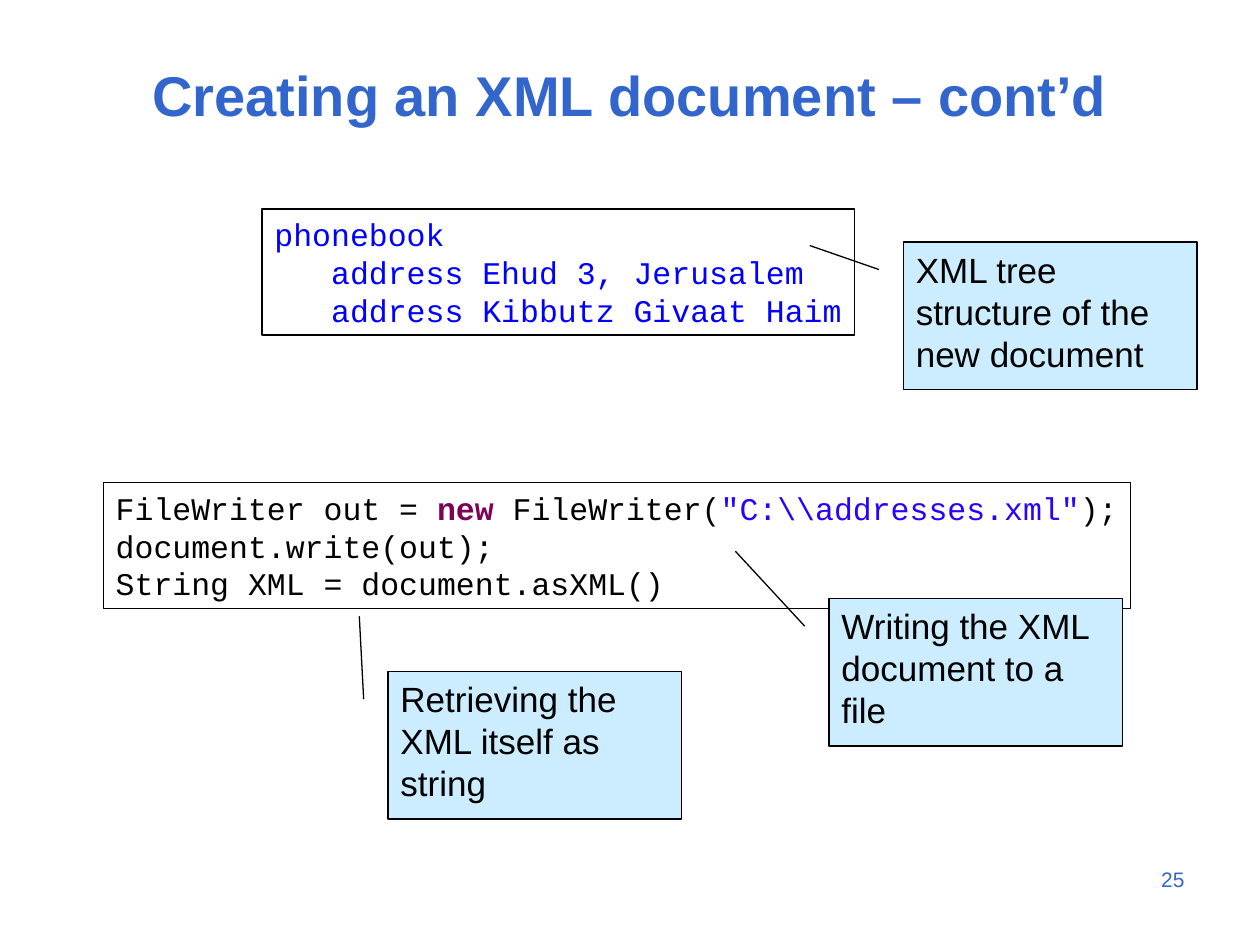
import pptx
import pptx.util
import pptx.dml.color
import pptx.enum.shapes
import pptx.enum.text

Inches = pptx.util.Inches
MSO_SHAPE = pptx.enum.shapes.MSO_SHAPE
PP_ALIGN = pptx.enum.text.PP_ALIGN
MSO_ANCHOR = pptx.enum.text.MSO_ANCHOR

COLORS = {
    "heading": "3366CC",
    "tree": "0000FF",
    "text": "000000",
    "keyword": "7F0055",
    "string": "2A00FF",
    "callout": "CCECFF",
}


def format_run(run, font_name, size, color, bold=False):
    run.font.name = font_name
    run.font.size = pptx.util.Pt(size)
    run.font.bold = bold
    run.font.color.rgb = pptx.dml.color.RGBColor.from_string(COLORS[color])


def add_outlined_shape(kind, left, top, width, height, fill=None):
    shape = slide.shapes.add_shape(kind, Inches(left), Inches(top), Inches(width), Inches(height))
    shape.shadow.inherit = False
    if fill:
        shape.fill.solid()
        shape.fill.fore_color.rgb = pptx.dml.color.RGBColor.from_string(COLORS[fill])
    else:
        shape.fill.background()
    shape.line.color.rgb = pptx.dml.color.RGBColor.from_string(COLORS["text"])
    shape.line.width = pptx.util.Pt(0.75)
    shape.text_frame.vertical_anchor = MSO_ANCHOR.TOP
    return shape


presentation = pptx.Presentation()
presentation.slide_width = Inches(10)
presentation.slide_height = Inches(7.5)
slide = presentation.slides.add_slide(presentation.slide_layouts[6])

headings = [
    ("25", 7.5, 6.83, 2, 0.5, 12, False, PP_ALIGN.RIGHT, MSO_ANCHOR.TOP),
    ("Creating an XML document – cont’d", 0.5, 0.33, 9, 0.83, 32, True, PP_ALIGN.CENTER, MSO_ANCHOR.MIDDLE),
]
for text, left, top, width, height, size, bold, alignment, anchor in headings:
    box = slide.shapes.add_textbox(Inches(left), Inches(top), Inches(width), Inches(height))
    box.text_frame.word_wrap = True
    box.text_frame.vertical_anchor = anchor
    box.text_frame.text = text
    paragraph = box.text_frame.paragraphs[0]
    paragraph.alignment = alignment
    format_run(paragraph.runs[0], "Arial", size, "heading", bold)

tree_lines = [
    [("phonebook", "tree")],
    [("   address Ehud 3, Jerusalem", "tree")],
    [("   address Kibbutz Givaat Haim", "tree")],
]
code_lines = [
    [
        ("FileWriter out = ", "text"),
        ("new ", "keyword"),
        ("FileWriter(", "text"),
        ('"C:\\\\addresses.xml"', "string"),
        (");", "text"),
    ],
    [("document.write(out);", "text")],
    [("String XML = document.asXML()", "text")],
]
for left, top, width, lines in [(2.08, 1.66, 4.7, tree_lines), (0.82, 3.83, 8.15, code_lines)]:
    shape = add_outlined_shape(MSO_SHAPE.RECTANGLE, left, top, width, 1)
    text_frame = shape.text_frame
    text_frame.word_wrap = False
    text_frame.auto_size = pptx.enum.text.MSO_AUTO_SIZE.SHAPE_TO_FIT_TEXT
    for index, line in enumerate(lines):
        paragraph = text_frame.add_paragraph() if index else text_frame.paragraphs[0]
        paragraph.alignment = PP_ALIGN.LEFT
        for text, color in line:
            run = paragraph.add_run()
            run.text = text
            format_run(run, "Courier New", 18, color, color == "keyword")

callouts = [
    ("XML tree structure of the new document", 7.17, 1.92, 0.025, -0.319),
    ("Writing the XML document to a file", 6.58, 4.75, -0.32, -0.319),
    ("Retrieving the XML itself as string", 3.08, 5.33, -0.375, -0.098),
]
for text, left, top, tip_y, tip_x in callouts:
    shape = add_outlined_shape(MSO_SHAPE.LINE_CALLOUT_1, left, top, 2.33, 1.17, "callout")
    for index, value in enumerate([0.188, -0.083, tip_y, tip_x]):
        shape.adjustments[index] = value
    shape.text_frame.word_wrap = True
    shape.text_frame.text = text
    paragraph = shape.text_frame.paragraphs[0]
    paragraph.alignment = PP_ALIGN.LEFT
    format_run(paragraph.runs[0], "Arial", 20, "text")

presentation.save("out.pptx")
